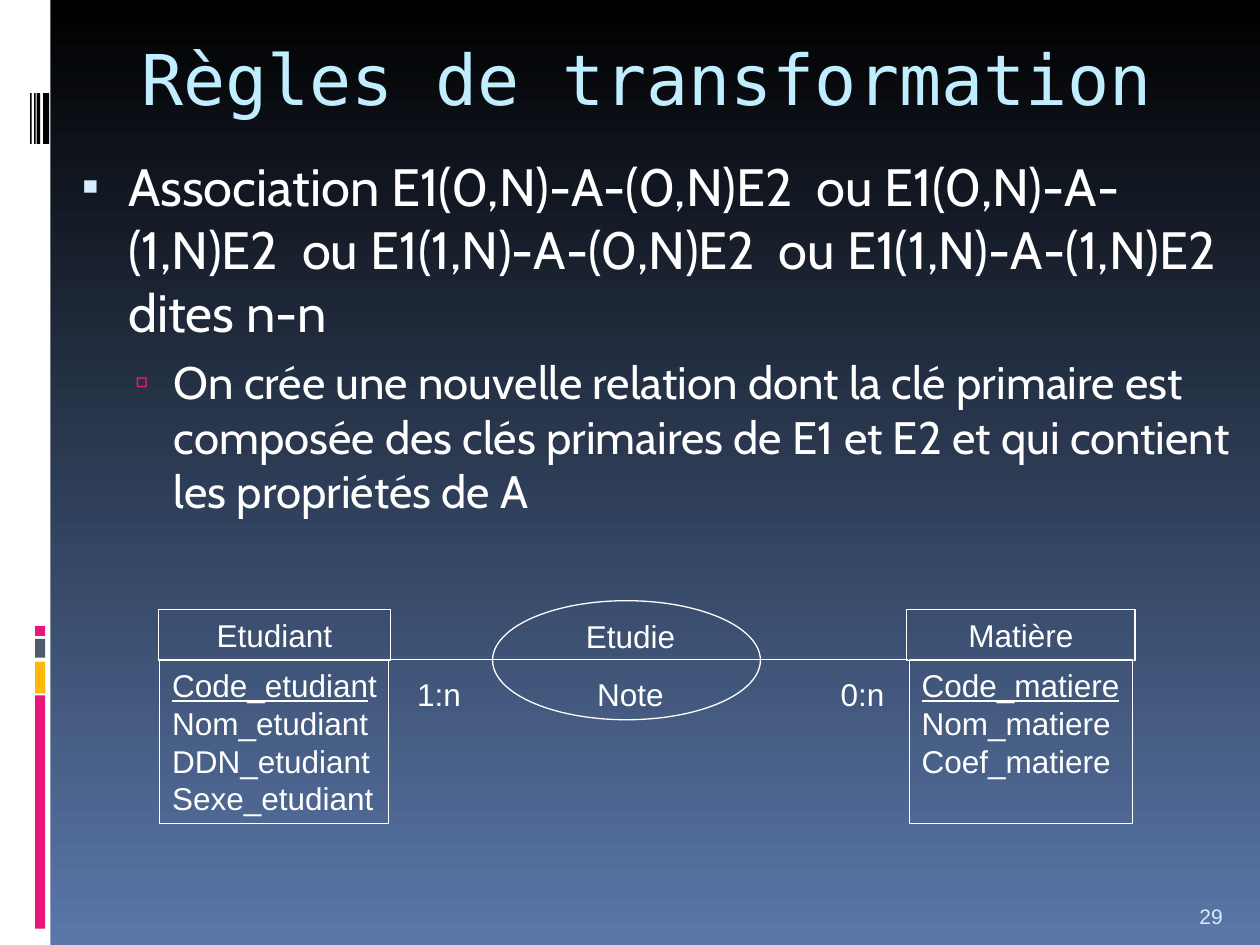
"""Build the slide on the transformation rule for n-n associations."""
from dataclasses import dataclass
from typing import Any

import pptx
import pptx.dml.color
import pptx.enum.shapes
import pptx.enum.text
import pptx.oxml
import pptx.oxml.ns
import pptx.util

Cm = pptx.util.Cm
Pt = pptx.util.Pt
Align = pptx.enum.text.PP_ALIGN
Anchor = pptx.enum.text.MSO_ANCHOR
Preset = pptx.enum.shapes.MSO_SHAPE


@dataclass(frozen=True)
class Theme:
    """Colours, fonts and type sizes."""
    white: str = "FFFFFF"
    black: str = "000000"
    sky: str = "5A77A9"
    pink: str = "EA157A"
    yellow: str = "FEB80A"
    slate: str = "4E5B6F"
    heading: str = "C1EEFF"
    pale: str = "D6ECFF"
    title_font: str = "DejaVu Sans Mono"
    body_font: str = "Cabin"
    diagram_font: str = "Arial"
    title_size: int = 40
    rule_size: int = 30
    detail_size: int = 26
    diagram_size: int = 18
    number_size: int = 12
    outline: float = 0.75


@dataclass(frozen=True)
class Area:
    """A rectangle in centimetres."""
    left: float
    top: float
    width: float
    height: float

    def lengths(self) -> list[int]:
        """Return the four lengths for python-pptx."""
        return [Cm(value) for value in (self.left, self.top, self.width, self.height)]


@dataclass(frozen=True)
class Bar:
    """A plain filled strip of the side decoration."""
    area: Area
    colour: str


@dataclass(frozen=True)
class Entity:
    """An entity with its key, the part of it left plain, and its attributes."""
    name: str
    key: str
    key_rest: str
    attributes: tuple[str, ...]
    head: Area
    details: Area


@dataclass(frozen=True)
class Label:
    """A free text of the diagram."""
    lines: tuple[str, ...]
    area: Area
    wrap: bool


@dataclass(frozen=True)
class Item:
    """A bulleted paragraph of the body."""
    text: str
    level: int
    size: int
    margin: float
    indent: float
    before: float
    bullet: str
    bullet_colour: str
    bullet_percent: int


THEME = Theme()
BARS = [
    Bar(Area(0, 0, 1.02, 19.05), THEME.white),
    *(Bar(Area(0.71, top, 0.2, height), colour) for top, height, colour in (
        (14.02, 4.7, THEME.pink), (13.34, 0.64, THEME.yellow),
        (12.88, 0.38, THEME.slate), (12.62, 0.2, THEME.pink))),
    *(Bar(Area(left, 1.88, width, 1.02), THEME.black) for left, width in (
        (0.87, 0.12), (0.74, 0.07), (0.69, 0.03), (0.61, 0.03))),
]
ITEMS = [
    Item("Association E1(0,N)-A-(0,N)E2  ou E1(0,N)-A-(1,N)E2  ou E1(1,N)-A-(0,N)E2"
         "  ou E1(1,N)-A-(1,N)E2  dites n-n",
         0, THEME.rule_size, 1.14, -0.94, 7, "▪", THEME.pale, 95),
    Item("On crée une nouvelle relation dont la clé primaire est composée des clés "
         "primaires de E1 et E2 et qui contient les propriétés de A",
         1, THEME.detail_size, 2.06, -0.79, 6.5, "▫", THEME.pink, 90),
]
ENTITIES = [
    Entity("Etudiant", "Code_etudian", "t", ("Nom_etudiant", "DDN_etudiant", "Sexe_etudiant"),
           Area(3.2, 12.29, 4.67, 1.02), Area(3.22, 13.3, 4.62, 3.3)),
    Entity("Matière", "Code_matiere", "", ("Nom_matiere", "Coef_matiere"),
           Area(18.28, 12.29, 4.6, 1.02), Area(18.33, 13.3, 4.5, 3.3)),
]
LABELS = [
    Label(("1:n",), Area(8.15, 13.49, 1.4, 1.02), False),
    Label(("0:n",), Area(16.69, 13.49, 1.4, 1.02), False),
    Label(("Etudie", "Note"), Area(10.31, 12.32, 4.8, 2.18), True),
]


def rgb(colour: str) -> pptx.dml.color.RGBColor:
    """Turn a hexadecimal colour into an RGBColor."""
    return pptx.dml.color.RGBColor.from_string(colour)


def add_span(para: Any, text: str, *, font: str = THEME.diagram_font,
             size: int = THEME.diagram_size, colour: str = THEME.white,
             underline: bool = False) -> None:
    """Add a formatted run to a paragraph."""
    span = para.add_run()
    span.text = text
    span.font.name = font
    span.font.size = Pt(size)
    span.font.color.rgb = rgb(colour)
    span.font.underline = underline


def next_para(frame: Any) -> Any:
    """Return the empty first paragraph, or a new one."""
    first = frame.paragraphs[0]
    return frame.add_paragraph() if first.runs else first


def prepare_frame(box: Any, anchor: Any = Anchor.TOP, wrap: bool = True) -> Any:
    """Set anchoring and wrapping of a box and return its text frame."""
    frame = box.text_frame
    frame.auto_size = pptx.enum.text.MSO_AUTO_SIZE.NONE
    frame.vertical_anchor = anchor
    frame.word_wrap = wrap
    return frame


def place(box: Any, area: Area) -> None:
    """Move a placeholder to an area."""
    box.left, box.top, box.width, box.height = area.lengths()


def add_outline(shapes: Any, preset: Any, area: Area) -> Any:
    """Add an unfilled shape with a thin white outline."""
    box = shapes.add_shape(preset, *area.lengths())
    box.shadow.inherit = False
    box.fill.background()
    box.line.color.rgb = rgb(THEME.white)
    box.line.width = Pt(THEME.outline)
    return box


def add_bar(page: Any, bar: Bar) -> None:
    """Draw one strip of the side decoration."""
    box = page.shapes.add_shape(Preset.RECTANGLE, *bar.area.lengths())
    box.shadow.inherit = False
    box.fill.solid()
    box.fill.fore_color.rgb = rgb(bar.colour)
    box.line.fill.background()


def add_item(frame: Any, item: Item) -> None:
    """Write one bulleted paragraph."""
    para = next_para(frame)
    para.level = item.level
    para.alignment = Align.LEFT
    para.space_before = Pt(item.before)
    add_span(para, item.text, font=THEME.body_font, size=item.size)
    properties = para._p.get_or_add_pPr()
    properties.set("marL", str(Cm(item.margin)))
    properties.set("indent", str(Cm(item.indent)))
    namespace = pptx.oxml.ns.nsdecls("a")
    for markup in (
            f'<a:buClr {namespace}><a:srgbClr val="{item.bullet_colour}"/></a:buClr>',
            f'<a:buSzPct {namespace} val="{item.bullet_percent * 1000}"/>',
            f'<a:buChar {namespace} char="{item.bullet}"/>'):
        properties.append(pptx.oxml.parse_xml(markup))


def add_label(page: Any, label: Label) -> None:
    """Write a centred text of the diagram."""
    frame = prepare_frame(page.shapes.add_textbox(*label.area.lengths()), wrap=label.wrap)
    for line in label.lines:
        para = next_para(frame)
        para.alignment = Align.CENTER
        para.space_before = Pt(11.2)
        add_span(para, line)


def add_entity(page: Any, entity: Entity) -> None:
    """Draw an entity as a group of a name box and an attribute box."""
    group = page.shapes.add_group_shape()
    head = prepare_frame(add_outline(group.shapes, Preset.RECTANGLE, entity.head))
    head.paragraphs[0].alignment = Align.CENTER
    add_span(head.paragraphs[0], entity.name)
    details = prepare_frame(
        add_outline(group.shapes, Preset.RECTANGLE, entity.details), wrap=False)
    add_span(details.paragraphs[0], entity.key, underline=True)
    if entity.key_rest:
        add_span(details.paragraphs[0], entity.key_rest)
    for attribute in entity.attributes:
        add_span(next_para(details), attribute)
    for para in details.paragraphs:
        para.alignment = Align.LEFT


def add_link(page: Any, left: float, right: float, height: float) -> None:
    """Draw the horizontal line that joins the entities."""
    link = page.shapes.add_connector(
        pptx.enum.shapes.MSO_CONNECTOR.STRAIGHT, Cm(left), Cm(height), Cm(right), Cm(height))
    link.line.color.rgb = rgb(THEME.white)
    link.line.width = Pt(THEME.outline)
    link._element.spPr.append(
        pptx.oxml.parse_xml(f'<a:effectLst {pptx.oxml.ns.nsdecls("a")}/>'))


def main() -> None:
    """Build and save the deck."""
    deck = pptx.Presentation()
    deck.slide_width, deck.slide_height = Cm(25.4), Cm(19.05)
    page = deck.slides.add_slide(deck.slide_layouts[1])
    backdrop = page.background.fill
    backdrop.gradient()
    backdrop.gradient_angle = 270
    for stop, colour in zip(backdrop.gradient_stops, (THEME.black, THEME.sky)):
        stop.color.rgb = rgb(colour)
    for bar in BARS:
        add_bar(page, bar)

    title, body = page.placeholders
    place(title, Area(2.59, 0.58, 21.59, 2.54))
    heading = prepare_frame(title).paragraphs[0]
    heading.alignment = Align.LEFT
    add_span(heading, "Règles de transformation", font=THEME.title_font,
             size=THEME.title_size, colour=THEME.heading)
    place(body, Area(1.19, 2.97, 24.21, 7.75))
    frame = prepare_frame(body)
    for item in ITEMS:
        add_item(frame, item)

    number = page.shapes.add_textbox(*Area(23.93, 17.83, 1.27, 1.02).lengths())
    add_span(prepare_frame(number, Anchor.BOTTOM).paragraphs[0], "29",
             size=THEME.number_size, colour=THEME.pale)
    for label in LABELS:
        add_label(page, label)
    add_outline(page.shapes, Preset.OVAL, Area(9.93, 12.11, 5.4, 2.4))
    add_link(page, 7.11, 18.31, 13.3)
    for entity in ENTITIES:
        add_entity(page, entity)
    deck.save("out.pptx")


if __name__ == "__main__":
    main()
